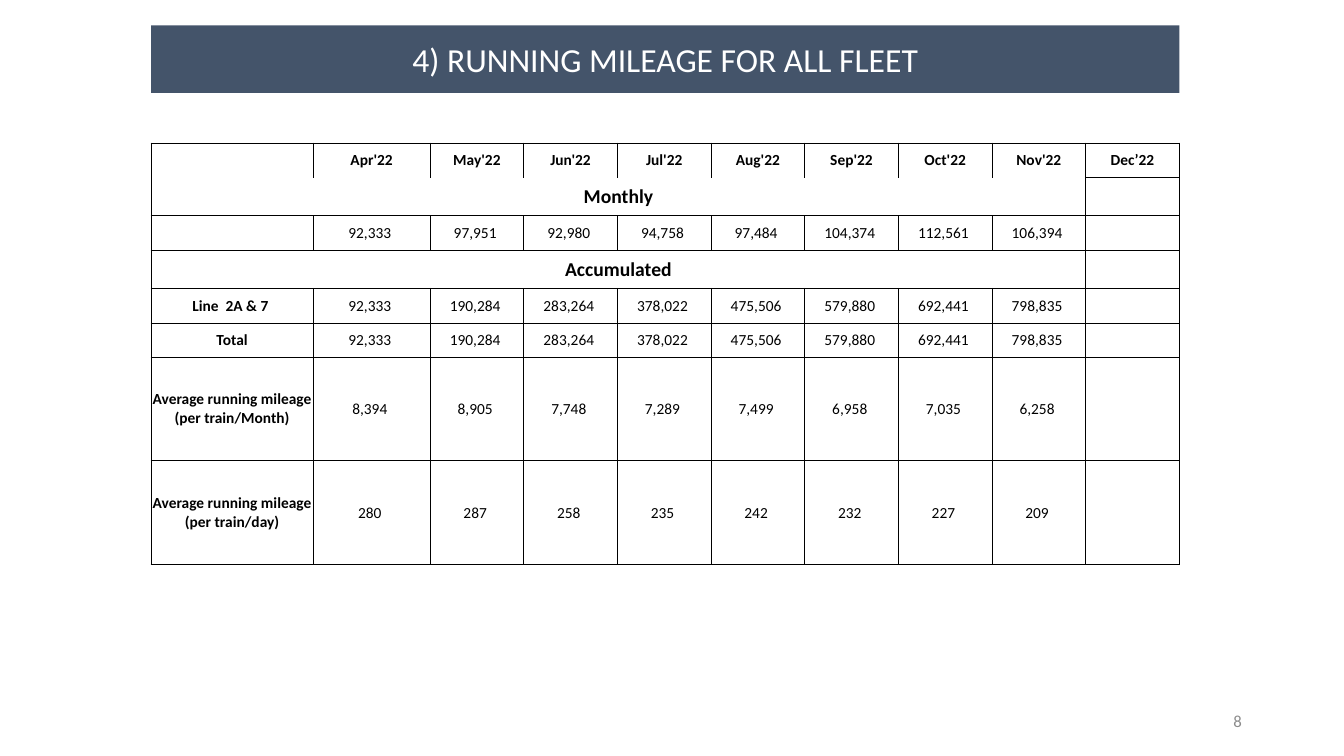
from lxml.etree import SubElement
from pptx import Presentation
from pptx.dml.color import RGBColor
from pptx.enum.text import MSO_ANCHOR, PP_ALIGN
from pptx.oxml.ns import qn
from pptx.util import Cm, Pt

NO_STYLE = "{2D5ABB26-0587-4C30-8999-92F81FD0307C}"
LEFT, WIDTH = Cm(3.81), Cm(25.91)


def write(text_frame, text, align, size, color, bold=False):
    paragraph = text_frame.paragraphs[0]
    paragraph.alignment = align
    run = paragraph.add_run()
    run.text = text
    font_format = {"name": "Calibri", "size": Pt(size), "bold": bold}
    for name, value in font_format.items():
        setattr(run.font, name, value)
    run.font.color.rgb = RGBColor.from_string(color)


def add_border(cell, side, width):
    """Draw one black cell edge; side is L, R, T or B, width is in points."""
    line = SubElement(cell._tc.get_or_add_tcPr(), qn(f"a:ln{side}"), w=str(Pt(width)))
    fill = SubElement(line, qn("a:solidFill"))
    SubElement(fill, qn("a:srgbClr"), val="000000")


presentation = Presentation()
presentation.slide_width = Cm(33.87)
presentation.slide_height = Cm(19.05)
slide = presentation.slides.add_slide(presentation.slide_layouts[5])

title = slide.shapes.title
title.left, title.top, title.width, title.height = LEFT, Cm(0.64), WIDTH, Cm(1.7)
title.fill.solid()
title.fill.fore_color.rgb = RGBColor.from_string("44546A")
title.text_frame.vertical_anchor = MSO_ANCHOR.MIDDLE
write(title.text_frame, "4) RUNNING MILEAGE FOR ALL FLEET", PP_ALIGN.CENTER, 24, "FFFFFF")

page_number = slide.shapes.add_textbox(Cm(23.93), Cm(17.65), Cm(7.62), Cm(1.02))
page_number.text_frame.word_wrap = True
page_number.text_frame.vertical_anchor = MSO_ANCHOR.MIDDLE
write(page_number.text_frame, "8", PP_ALIGN.RIGHT, 12, "8C8C8C")

monthly = [92333, 97951, 92980, 94758, 97484, 104374, 112561, 106394]
accumulated = [92333, 190284, 283264, 378022, 475506, 579880, 692441, 798835]
per_train_month = [8394, 8905, 7748, 7289, 7499, 6958, 7035, 6258]
per_train_day = [280, 287, 258, 235, 242, 232, 227, 209]
months = ["Apr'22", "May'22", "Jun'22", "Jul'22", "Aug'22",
          "Sep'22", "Oct'22", "Nov'22", "Dec’22"]
rows = [
    ("", months),
    ("Monthly", []),
    ("", monthly),
    ("Accumulated", []),
    ("Line  2A & 7 ", accumulated),
    ("Total", accumulated),
    ("Average running mileage (per train/Month)", per_train_month),
    ("Average running mileage (per train/day)", per_train_day),
]
section_rows = (1, 3)
column_widths = [4.08, 2.95] + [2.36] * 8
row_heights = [0.87, 0.96, 0.87, 0.96, 0.87, 0.87, 2.6, 2.62]
last_row, last_column = len(rows) - 1, len(column_widths) - 1

frame = slide.shapes.add_table(len(rows), len(column_widths), LEFT, Cm(3.61), WIDTH, Cm(10.62))
table = frame.table
table.first_row = table.horz_banding = False
table._tbl.tblPr.find(qn("a:tableStyleId")).text = NO_STYLE
for column, width in zip(table.columns, column_widths):
    column.width = Cm(width)

for row_index, (label, values) in enumerate(rows):
    table.rows[row_index].height = Cm(row_heights[row_index])
    is_section = row_index in section_rows
    if is_section:
        table.cell(row_index, 0).merge(table.cell(row_index, last_column - 1))
    texts = [label] + [v if isinstance(v, str) else f"{v:,} " for v in values]

    for column_index in range(last_column + 1):
        cell = table.cell(row_index, column_index)
        cell.vertical_anchor = MSO_ANCHOR.MIDDLE
        for side in ("left", "right", "top", "bottom"):
            setattr(cell, f"margin_{side}", 0)

        edges = {
            "L": 1 if column_index == 0 else 0.5,
            "R": 1 if column_index == last_column else 0.5,
            "T": 1 if row_index == 0 or row_index - 1 in section_rows else 0.5,
            "B": 1 if row_index == last_row or is_section else 0.5,
        }
        # The header runs into the Monthly band without a line, except under December
        if column_index < last_column and row_index < 2:
            del edges["B" if row_index == 0 else "T"]
        for side, width in edges.items():
            add_border(cell, side, width)
        cell.fill.solid()
        cell.fill.fore_color.rgb = RGBColor.from_string("FFFFFF")

        if column_index < len(texts) and texts[column_index]:
            write(cell.text_frame, texts[column_index], PP_ALIGN.CENTER,
                  14 if is_section else 11, "000000",
                  bold=row_index == 0 or column_index == 0)

presentation.save("out.pptx")
